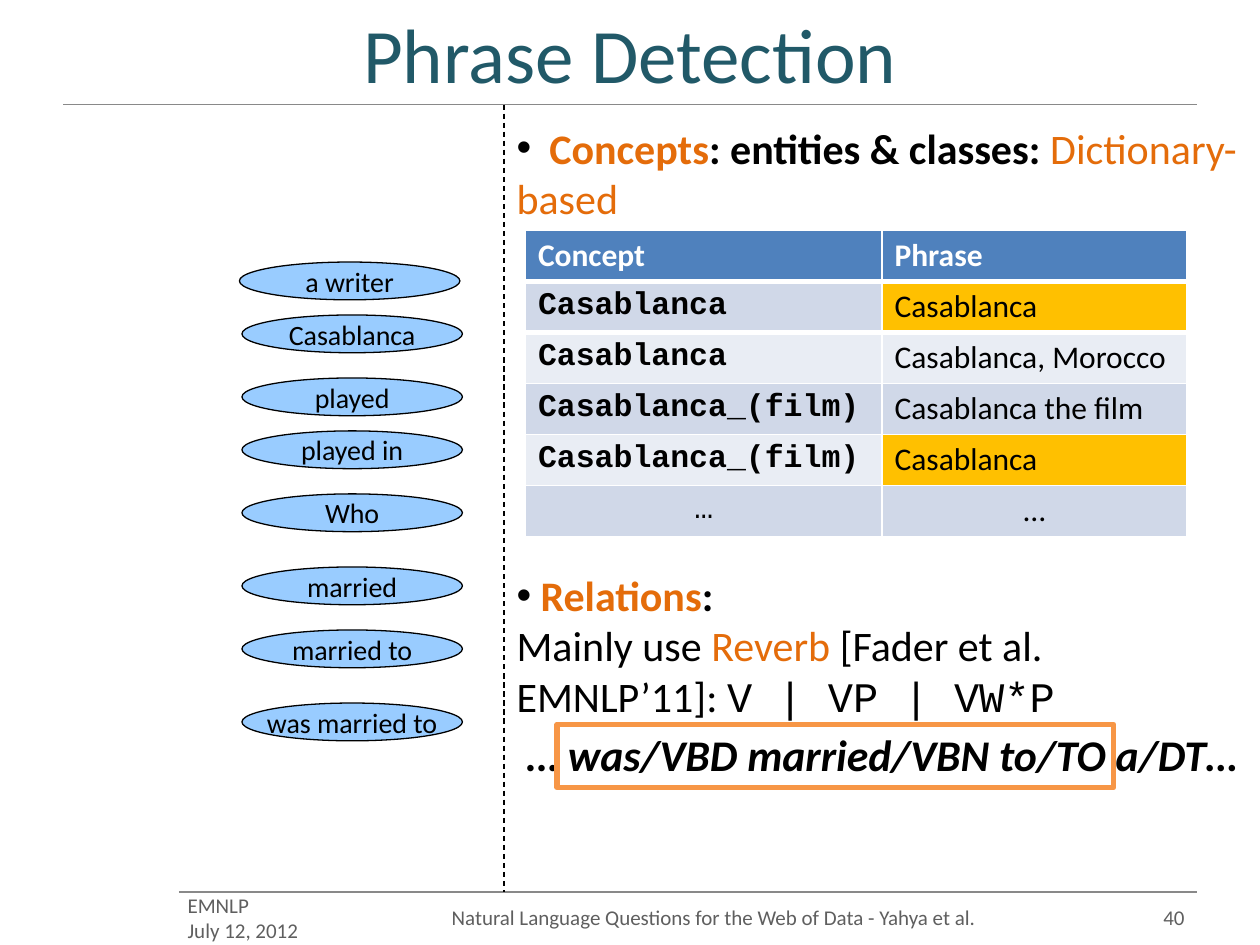
from lxml import etree
from pptx import Presentation, util as u
from pptx.dml.color import RGBColor
from pptx.enum import dml, shapes, text
from pptx.oxml.ns import qn

COLORS = {
    "white": "FFFFFF", "black": "000000", "title": "215968", "accent": "E46C0A",
    "rule": "898989", "footer": "5F5F5F", "phrase": "99CCFF", "header": "4F81BD",
    "band_dark": "D0D8E8", "band_light": "E9EDF4", "match": "FFC000", "frame": "F79646",
}
SANS, MONO = "Calibri", "Courier New"
LEFT, CENTER, RIGHT = text.PP_ALIGN.LEFT, text.PP_ALIGN.CENTER, text.PP_ALIGN.RIGHT


def rgb(name):
    return RGBColor.from_string(COLORS[name])


def style(font, size, color="black", face=SANS, bold=False, italic=False):
    font.size, font.name, font.bold, font.italic = u.Pt(size), face, bold, italic
    font.color.rgb = rgb(color)


def box(left, top, width, height):
    return [u.Inches(length) for length in (left, top, width, height)]


def place(shape, *bounds):
    shape.left, shape.top, shape.width, shape.height = box(*bounds)


def set_bullet(paragraph, tab=None):
    """Start at the left edge; a tab position adds a bullet followed by that tab stop."""
    props = paragraph._p.get_or_add_pPr()
    props.set("marL", "0")
    props.set("indent", "0")
    if tab is None:
        etree.SubElement(props, qn("a:buNone"))
        return
    color = etree.SubElement(props, qn("a:buClr"))
    etree.SubElement(color, qn("a:srgbClr"), val=COLORS["black"])
    etree.SubElement(props, qn("a:buFont"), typeface="Arial")
    etree.SubElement(props, qn("a:buChar"), char="•")
    stops = etree.SubElement(props, qn("a:tabLst"))
    etree.SubElement(stops, qn("a:tab"), pos=str(u.Inches(tab)), algn="l")


def set_border(cell, side, points):
    """Draw a white border on one side (lnT, lnB, ...) of a cell."""
    border = etree.Element(qn(f"a:{side}"), w=str(u.Pt(points)))
    fill = etree.SubElement(border, qn("a:solidFill"))
    etree.SubElement(fill, qn("a:srgbClr"), val=COLORS["white"])
    cell._tc.get_or_add_tcPr().insert(0, border)


class SlideBuilder:
    def __init__(self, slide):
        self.slide = slide

    def title(self, wording):
        title = self.slide.shapes.title
        place(title, 0.5, 0, 9, 0.83)
        title.fill.solid()
        title.fill.fore_color.rgb = rgb("white")
        frame = title.text_frame
        frame.text = wording
        frame.auto_size = text.MSO_AUTO_SIZE.NONE
        frame.vertical_anchor = text.MSO_ANCHOR.MIDDLE
        frame.paragraphs[0].alignment = CENTER
        style(frame.paragraphs[0].runs[0].font, 44, "title")

    def body(self, paragraphs, *bounds):
        """Each paragraph: runs of (wording, style), bullet tab, space before, alignment."""
        body = self.slide.placeholders[1]
        place(body, *bounds)
        frame = body.text_frame
        frame.auto_size = text.MSO_AUTO_SIZE.NONE
        for index, (runs, tab, gap, align) in enumerate(paragraphs):
            paragraph = frame.add_paragraph() if index else frame.paragraphs[0]
            set_bullet(paragraph, tab)
            paragraph.space_before = u.Pt(gap)
            paragraph.alignment = align
            for wording, look in runs:
                run = paragraph.add_run()
                run.text = wording
                style(run.font, **{"size": 24, **look})

    def line(self, x1, y1, x2, y2, color="rule", dash=None):
        line = self.slide.shapes.add_connector(
            shapes.MSO_CONNECTOR.STRAIGHT, *box(x1, y1, x2, y2))
        line.line.color.rgb = rgb(color)
        line.line.width = u.Pt(0.75)
        if dash:
            line.line.dash_style = dash
        etree.SubElement(line._element.spPr, qn("a:effectLst"))

    def footer(self, wording, left, width, align):
        frame = self.slide.shapes.add_textbox(*box(left, 7.08, width, 0.4)).text_frame
        frame.word_wrap = True
        frame.vertical_anchor = text.MSO_ANCHOR.MIDDLE
        frame.text = wording
        for paragraph in frame.paragraphs:
            paragraph.alignment = align
            style(paragraph.runs[0].font, 12, "footer")

    def phrase(self, wording, left, top):
        oval = self.slide.shapes.add_shape(
            shapes.MSO_SHAPE.OVAL, *box(left, top, 1.75, 0.3))
        oval.shadow.inherit = False
        oval.fill.solid()
        oval.fill.fore_color.rgb = rgb("phrase")
        oval.line.color.rgb = rgb("black")
        oval.line.width = u.Pt(0.75)
        frame = oval.text_frame
        frame.word_wrap = False
        frame.vertical_anchor = text.MSO_ANCHOR.MIDDLE
        frame.text = wording
        frame.paragraphs[0].alignment = CENTER
        style(frame.paragraphs[0].runs[0].font, 16)

    def frame(self, *bounds):
        frame = self.slide.shapes.add_shape(shapes.MSO_SHAPE.RECTANGLE, *box(*bounds))
        frame.shadow.inherit = False
        frame.fill.background()
        frame.line.color.rgb = rgb("frame")
        frame.line.width = u.Pt(3)

    def dictionary(self, rows, widths, *bounds):
        """Concept table that highlights the phrase shared by several concepts."""
        table = self.slide.shapes.add_table(len(rows), len(widths), *box(*bounds)).table
        for column, width in zip(table.columns, widths):
            column.width = u.Inches(width)
        for r, row in enumerate(rows):
            for c, wording in enumerate(row):
                cell = table.cell(r, c)
                cell.text = wording
                if r == 0:
                    fill = "header"
                elif c == 1 and wording == "Casablanca":
                    fill = "match"
                else:
                    fill = "band_dark" if r % 2 else "band_light"
                cell.fill.solid()
                cell.fill.fore_color.rgb = rgb(fill)
                if r < 2:
                    set_border(cell, "lnT" if r else "lnB", 3)
                paragraph = cell.text_frame.paragraphs[0]
                paragraph.alignment = CENTER if wording == "…" else LEFT
                style(paragraph.runs[0].font, 18,
                      color="black" if r else "white",
                      face=MONO if r and c == 0 else SANS,
                      bold=r == 0 or (c == 0 and wording != "…"))


def main():
    deck = Presentation()
    deck.slide_width, deck.slide_height = u.Inches(10), u.Inches(7.5)
    builder = SlideBuilder(deck.slides.add_slide(deck.slide_layouts[1]))

    builder.title("Phrase Detection")
    plain, bold, accent = {}, {"bold": True}, {"color": "accent"}
    heading = {**accent, **bold}
    builder.body([
        ([("\tConcepts", heading), (": entities & classes: ", bold),
          ("Dictionary-based", accent)], 0.26, 0, LEFT),
        ([("\tRelations", heading), (":", bold)], 0.19, 198, LEFT),
        ([("Mainly use ", plain), ("Reverb", accent),
          (" [Fader et al. EMNLP’11]: ", plain),
          ("V | VP | VW*P", {"face": MONO})], None, 0, LEFT),
        ([("… was/VBD married/VBN to/TO a/DT…",
           {"size": 25, "bold": True, "italic": True})], None, 4, CENTER),
    ], 4, 0.92, 6, 5.77)

    builder.line(1.42, 7.08, 9.5, 7.08)
    builder.line(0.5, 0.83, 9.5, 0.83)
    builder.line(4, 0.83, 4, 7.08, "black", dml.MSO_LINE.DASH)

    builder.footer("EMNLP\nJuly 12, 2012", 1.39, 1.28, LEFT)
    builder.footer("Natural Language Questions for the Web of Data - Yahya et al.",
                   2.93, 5.47, CENTER)
    builder.footer("40", 8.67, 0.83, RIGHT)

    builder.phrase("a writer", 1.9, 2.08)
    for wording, top in [("Casablanca", 2.5), ("played", 3), ("played in", 3.42),
                         ("Who", 3.92), ("married", 4.5), ("married to", 5),
                         ("was married to", 5.58)]:
        builder.phrase(wording, 1.92, top)

    builder.dictionary([
        ("Concept", "Phrase"),
        ("Casablanca", "Casablanca"),
        ("Casablanca", "Casablanca, Morocco"),
        ("Casablanca_(film)", "Casablanca the film"),
        ("Casablanca_(film)", "Casablanca"),
        ("…", "…"),
    ], (2.83, 2.42), 4.17, 1.83, 5.25, 2.43)
    builder.frame(4.42, 5.75, 4.42, 0.5)

    deck.save("out.pptx")


if __name__ == "__main__":
    main()
